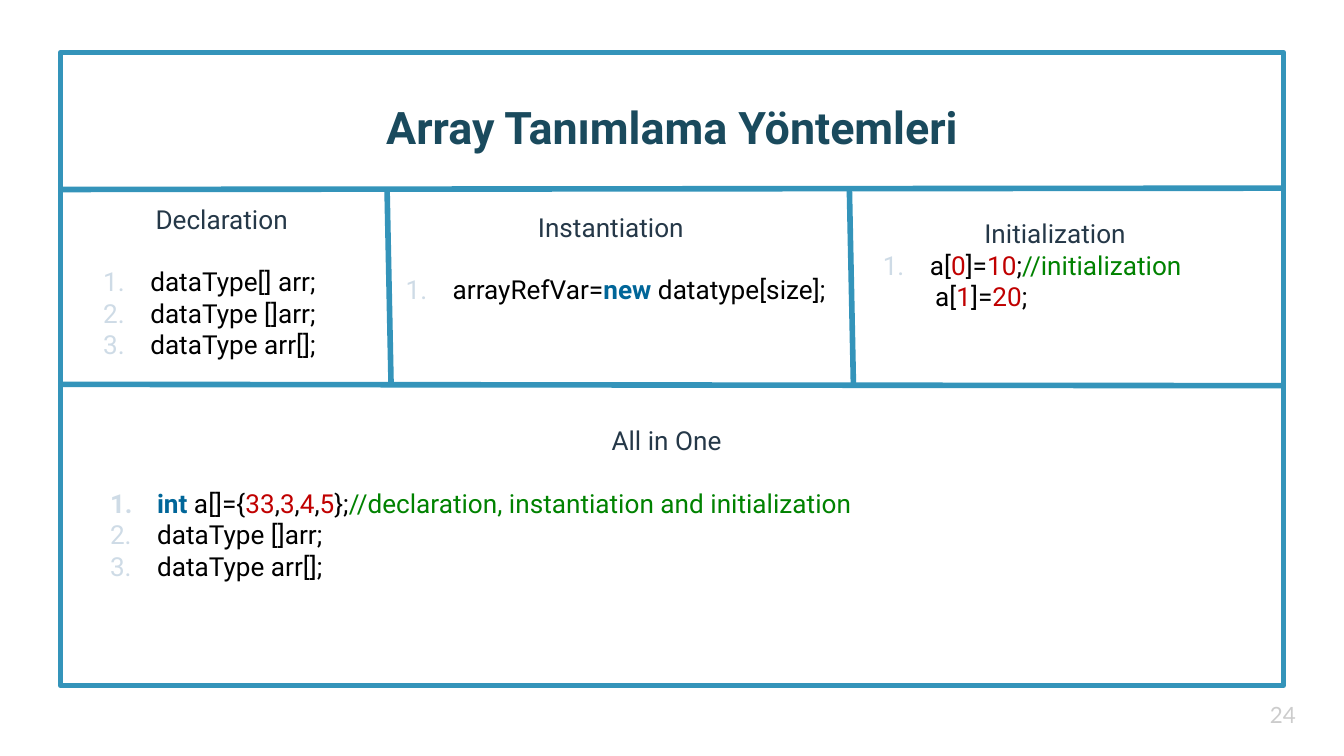
from lxml import etree
from pptx import Presentation
from pptx.dml.color import RGBColor
from pptx.enum.shapes import MSO_CONNECTOR, MSO_SHAPE
from pptx.enum.text import MSO_ANCHOR, PP_ALIGN
from pptx.oxml.ns import qn
from pptx.util import Inches, Pt

STRAIGHT = MSO_CONNECTOR.STRAIGHT
RECTANGLE = MSO_SHAPE.RECTANGLE
MIDDLE, BOTTOM = MSO_ANCHOR.MIDDLE, MSO_ANCHOR.BOTTOM
LEFT, CENTER = PP_ALIGN.LEFT, PP_ALIGN.CENTER

BORDER = "3494BA"
TITLE = "1A4A5D"
HEADING = "253848"
NUMBERING = "CEDBE6"
CODE = "000000"
KEYWORD = "006699"
VALUE = "C00000"
COMMENT = "008200"
PAGE_NUMBER = "CCCCCC"


def color(hex_text):
    return RGBColor.from_string(hex_text)


def style(span, size, hex_text, bold=False, name="Roboto"):
    span.font.name = name
    span.font.size = Pt(size)
    span.font.bold = bold
    span.font.color.rgb = color(hex_text)


deck = Presentation()
deck.slide_width = Inches(10)
deck.slide_height = deck.slide_width * 9 // 16
page = deck.slides.add_slide(deck.slide_layouts[5])

frame = page.shapes.add_shape(RECTANGLE, Inches(0.45), Inches(0.39), Inches(9.1), Inches(4.71))
frame.shadow.inherit = False
frame.fill.background()
frame.line.color.rgb = color(BORDER)
frame.line.width = Pt(3)

title = page.shapes.title
title.left, title.top, title.width, title.height = Inches(0), Inches(0.24), Inches(10), Inches(1)
title.text_frame.text = "Array Tanımlama Yöntemleri"

number = page.shapes.add_textbox(Inches(9.35), Inches(5.1), Inches(0.6), Inches(0.43))
number.text_frame.text = "24"

labels = [
    (title, BOTTOM, CENTER, 24, TITLE, True, "Roboto"),
    (number, MIDDLE, LEFT, 12, PAGE_NUMBER, False, "Lato"),
]
for box, anchor, align, size, hex_text, bold, name in labels:
    box.text_frame.word_wrap = True
    box.text_frame.vertical_anchor = anchor
    box.text_frame.margin_top = box.text_frame.margin_bottom = Inches(0.1)
    para = box.text_frame.paragraphs[0]
    para.alignment = align
    style(para.runs[0], size, hex_text, bold, name)

plain_forms = [[("dataType []arr;", CODE)], [("dataType arr[];", CODE)]]
sections = [
    ("Declaration", (0.52, 1.41, 2.26, 1.75), 16.8,
     [[("dataType[] arr;", CODE)]] + plain_forms, []),
    ("Instantiation ", (2.77, 1.47, 3.6, 1.75), 16.8,
     [[("arrayRefVar=", CODE), ("new", KEYWORD), (" datatype[size];", CODE)]], []),
    ("Initialization ", (6.32, 1.52, 3.11, 1.75), 0,
     [[("a[", CODE), ("0", VALUE), ("]=", CODE), ("10", VALUE), (";", CODE),
       ("//initialization", COMMENT)]],
     [[("a[", CODE), ("1", VALUE), ("]=", CODE), ("20", VALUE), (";", CODE)]]),
    ("All in One", (0.57, 3.06, 8.78, 1.84), 16.8,
     [[("int", KEYWORD), (" a[]={", CODE), ("33", VALUE), (",", CODE), ("3", VALUE),
       (",", CODE), ("4", VALUE), (",", CODE), ("5", VALUE), ("};", CODE),
       ("//declaration, instantiation and initialization", COMMENT)]] + plain_forms, []),
]
for heading, place, gap, numbered, continued in sections:
    box = page.shapes.add_textbox(*[Inches(length) for length in place])
    box.text_frame.word_wrap = True
    box.text_frame.margin_top = box.text_frame.margin_bottom = Inches(0.1)
    box.text_frame.text = heading
    para = box.text_frame.paragraphs[0]
    para.alignment = CENTER
    para.space_after = Pt(gap)
    style(para.runs[0], 14, HEADING)

    for position, spans in enumerate(numbered + continued):
        para = box.text_frame.add_paragraph()
        para.alignment = LEFT
        properties = para._p.get_or_add_pPr()
        if position < len(numbered):
            properties.set("marL", str(Inches(0.5)))
            properties.set("indent", str(Inches(-0.35)))
            bullet_color = etree.SubElement(properties, qn("a:buClr"))
            etree.SubElement(bullet_color, qn("a:srgbClr"), val=NUMBERING)
            etree.SubElement(properties, qn("a:buFont"), typeface="Roboto")
            etree.SubElement(properties, qn("a:buAutoNum"), type="arabicPeriod")
        else:
            properties.set("marL", str(Inches(0.54)))
        for text, hex_text in spans:
            span = para.add_run()
            span.text = text
            style(span, 14, hex_text, bold=hex_text == KEYWORD)

dividers = [
    (0.46, 2.86, 9.54, 2.87),
    (6.32, 1.4, 6.35, 2.87),
    (0.46, 1.41, 9.54, 1.4),
    (2.88, 1.41, 2.91, 2.87),
]
for ends in dividers:
    divider = page.shapes.add_connector(STRAIGHT, *[Inches(length) for length in ends])
    divider.line.color.rgb = color(BORDER)
    divider.line.width = Pt(3)
    etree.SubElement(divider._element.spPr, qn("a:effectLst"))

deck.save("out.pptx")
